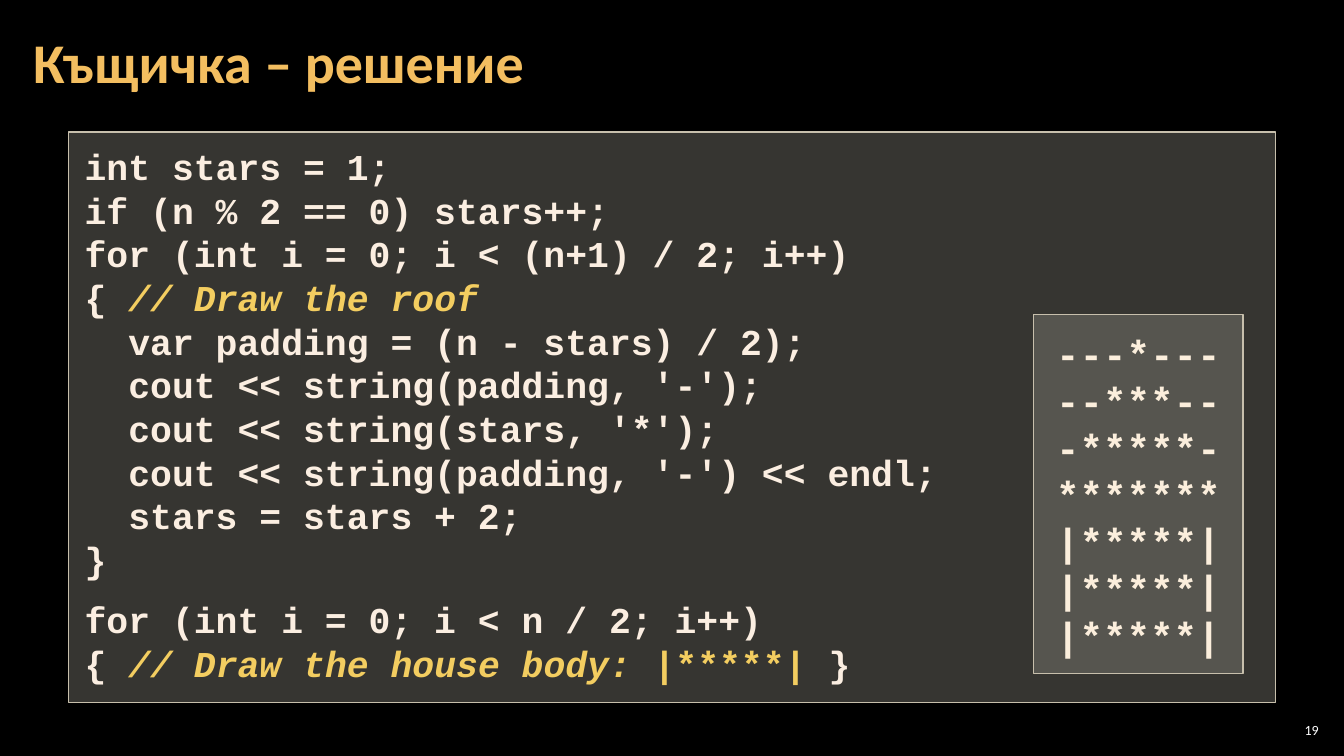
from lxml import etree
from pptx import Presentation
from pptx.dml.color import RGBColor
from pptx.enum.shapes import MSO_SHAPE as Shape
from pptx.enum.text import MSO_ANCHOR as Anchor, PP_ALIGN as Align
from pptx.oxml.ns import qn
from pptx.util import Inches, Pt

BLACK = RGBColor(0x00, 0x00, 0x00)
WHITE = RGBColor(0xFF, 0xFF, 0xFF)
GOLD = RGBColor(0xF3, 0xBE, 0x60)
CREAM = RGBColor(0xFB, 0xEE, 0xE1)
PALE = RGBColor(0xFB, 0xEE, 0xDC)
YELLOW = RGBColor(0xF3, 0xCD, 0x60)
SAND = RGBColor(0xD9, 0xD5, 0xC7)
EDGE = RGBColor(0xC7, 0xBF, 0xAC)

CODE_FONT = "Courier New"

# Each line is a list of (text, format) spans
COMMENT = {"color": YELLOW, "italic": True}
ROOF_CODE = [
    [("int stars = 1;", {})],
    [("if (n % 2 == 0) stars++;", {})],
    [("for (int i = 0; i < (n+1) / 2; i++)", {})],
    [("{ ", {}), ("// Draw the roof", COMMENT)],
    [("  var padding = (n - stars) / 2);", {})],
    [("  cout << string(padding, '-');", {})],
    [("  cout << string(stars, '*');", {})],
    [("  cout << string(padding, '-') << endl;", {})],
    [("  stars = stars + 2;", {})],
    [("}", {})],
]
BODY_CODE = [
    [("for (int i = 0; i < n / 2; i++)", {})],
    [("{ ", {}), ("// Draw the house body: ", COMMENT),
     ("|*****| ", {"color": YELLOW}), ("}", {})],
]
HOUSE = ["---*---", "--***--", "-*****-", "*******"] + ["|*****|"] * 3


def add_span(para, text, font="Calibri", size=10, color=WHITE, bold=False, italic=False):
    span = para.add_run()
    span.text = text
    span.font.name = font
    span.font.size = Pt(size)
    span.font.color.rgb = color
    span.font.bold = bold
    span.font.italic = italic


def set_frame(shape, anchor, side, edge):
    frame = shape.text_frame
    frame.word_wrap = True
    frame.vertical_anchor = anchor
    frame.margin_left = frame.margin_right = Inches(side)
    frame.margin_top = frame.margin_bottom = Inches(edge)
    return frame


def add_label(page, box, text, side=0.04, align=Align.LEFT, spacing=None, **style):
    label = page.shapes.add_textbox(*map(Inches, box))
    para = set_frame(label, Anchor.MIDDLE, side, 0.04).paragraphs[0]
    para.alignment = align
    para.line_spacing = spacing
    add_span(para, text, **style)


def add_panel(page, box, opacity):
    panel = page.shapes.add_shape(Shape.RECTANGLE, *map(Inches, box))
    panel.shadow.inherit = False
    panel.fill.solid()
    panel.fill.fore_color.rgb = SAND
    color = panel.fill._xPr.find(qn("a:solidFill"))[0]
    etree.SubElement(color, qn("a:alpha")).set("val", str(opacity * 1000))
    panel.line.color.rgb = EDGE
    panel.line.width = Pt(1)
    return panel


def add_lines(frame, lines, align, **style):
    for index, spans in enumerate(lines):
        para = frame.add_paragraph() if index else frame.paragraphs[0]
        para.alignment = align
        for text, extra in spans:
            add_span(para, text, **{**style, **extra})


def add_code(page, box):
    frame = set_frame(add_panel(page, box, 25), Anchor.TOP, 0.16, 0.12)
    add_lines(frame, ROOF_CODE + BODY_CODE, Align.LEFT,
              font=CODE_FONT, size=26, color=CREAM, bold=True)
    frame.paragraphs[len(ROOF_CODE)].space_before = Pt(12)


def add_house(page, box):
    frame = set_frame(add_panel(page, box, 20), Anchor.MIDDLE, 0.1, 0.05)
    add_lines(frame, [[(row, {})] for row in HOUSE], Align.CENTER,
              font=CODE_FONT, size=28, color=PALE, bold=True)


def main():
    deck = Presentation()
    deck.slide_width, deck.slide_height = Inches(13.33), Inches(7.5)
    page = deck.slides.add_slide(deck.slide_layouts[6])
    page.background.fill.solid()
    page.background.fill.fore_color.rgb = BLACK

    # Title and slide number
    add_label(page, (0.21, 0.04, 10.47, 1.21), "Къщичка – решение",
              side=0.12, spacing=0.9, size=40, color=GOLD, bold=True)
    add_label(page, (12.65, 7.14, 0.47, 0.21), "19", align=Align.RIGHT)

    # Source code with the printed house on top
    add_code(page, (0.68, 1.31, 11.97, 5.66))
    add_house(page, (10.25, 3.12, 2.08, 3.56))

    deck.save("out.pptx")


if __name__ == "__main__":
    main()
